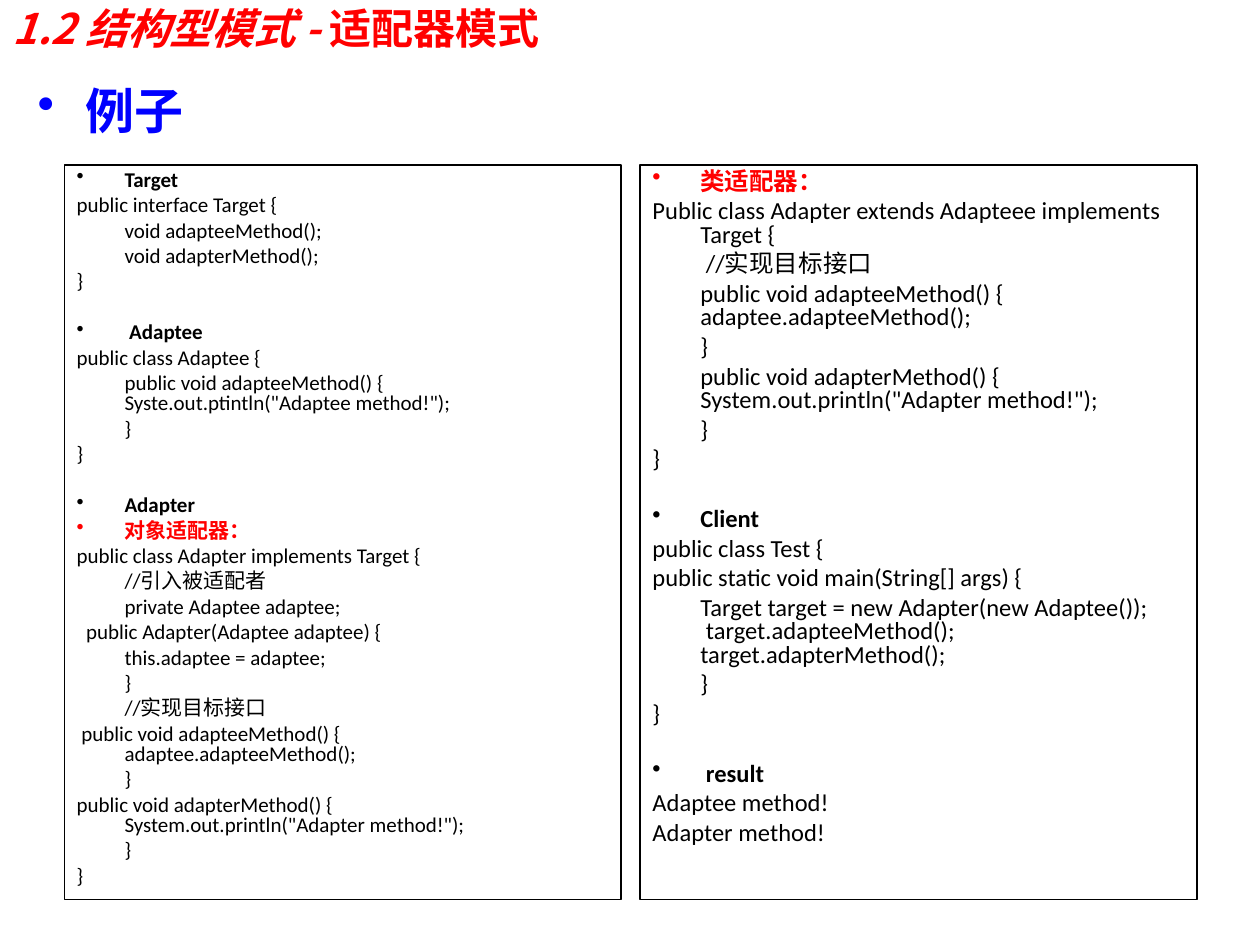
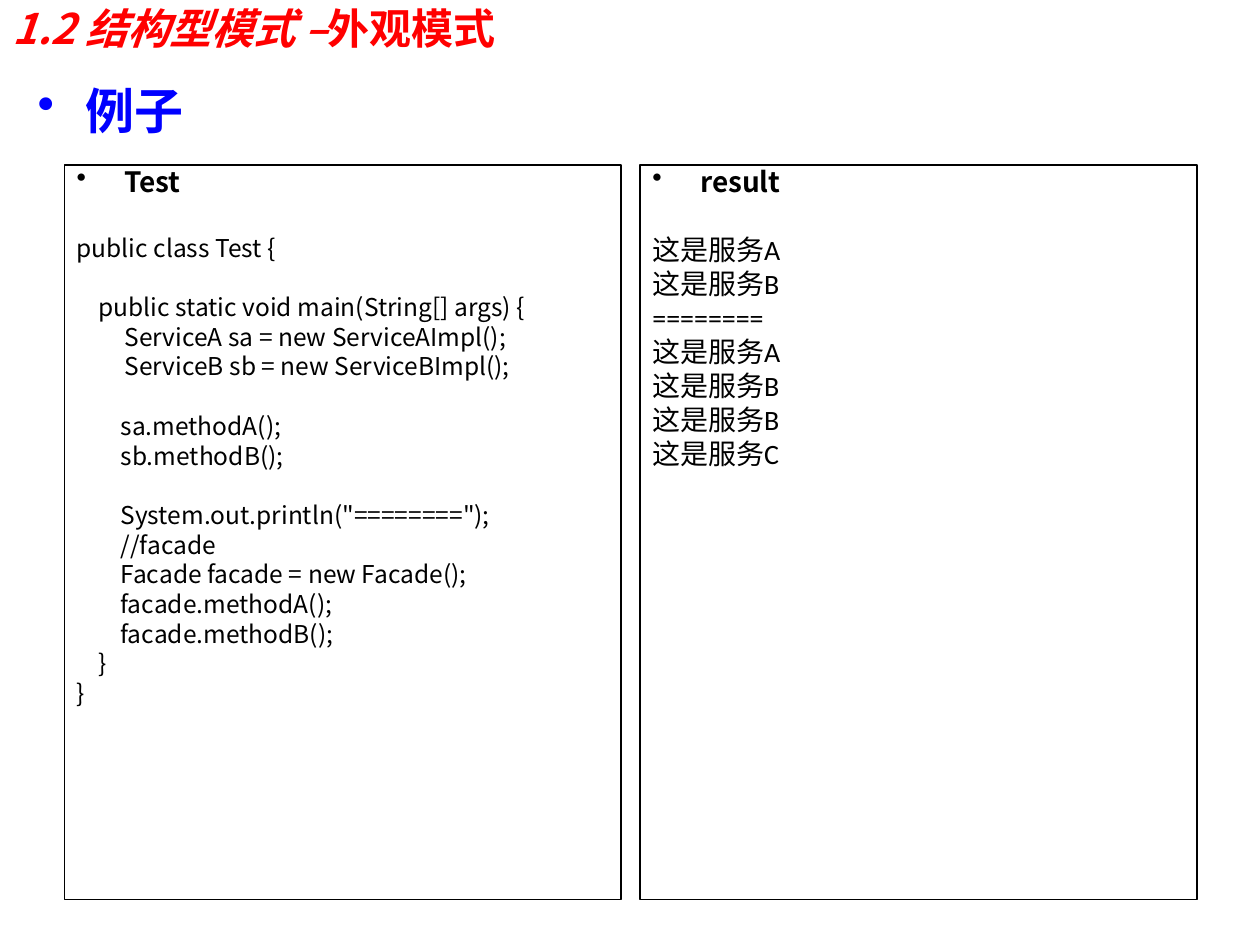
import copy

from lxml import etree
from pptx import Presentation
from pptx import util as u
from pptx.dml.color import RGBColor
from pptx.enum import text
from pptx.oxml.ns import qn

THEME = {
    "red": "FF0000", "blue": "0000FF", "black": "000000",
    "latin": "Calibri", "cjk": "Noto Sans CJK SC",
    "title_size": 24, "topic_size": 28,
    "hang": 0.38, "line_spacing": 0.8, "before": 0.25, "blank_line": 1.22,
}
PANEL_LEFTS = (0.51, 5.08)

# Code lines: "•" marks a heading, "!" a red heading, a tab an indented line,
# an empty string a gap, and "\v" a line break.
TARGET_AND_ADAPTERS = [
    "•Target",
    "public interface Target {",
    "\tvoid adapteeMethod();",
    "\tvoid adapterMethod();",
    "}",
    "",
    "• Adaptee",
    "public class Adaptee {",
    '\tpublic void adapteeMethod() {\vSyste.out.ptintln("Adaptee method!");',
    "\t}",
    "}",
    "",
    "•Adapter",
    "!对象适配器：",
    "public class Adapter implements Target {",
    "\t//引入被适配者",
    "\tprivate Adaptee adaptee;",
    "  public Adapter(Adaptee adaptee) {",
    "\tthis.adaptee = adaptee;",
    "\t}",
    "\t//实现目标接口",
    " public void adapteeMethod() {\vadaptee.adapteeMethod();",
    "\t}",
    'public void adapterMethod() {\vSystem.out.println("Adapter method!");',
    "\t}",
    "}",
]
CLASS_ADAPTER_AND_CLIENT = [
    "!类适配器：",
    "Public class Adapter extends Adapteee implements Target {",
    "\t //实现目标接口",
    "\tpublic void adapteeMethod() {\vadaptee.adapteeMethod();",
    "\t}",
    '\tpublic void adapterMethod() {\vSystem.out.println("Adapter method!");',
    "\t}",
    "}",
    "",
    "•Client",
    "public class Test {",
    "public static void main(String[] args) {",
    "\tTarget target = new Adapter(new Adaptee());"
    "\v target.adapteeMethod();\vtarget.adapterMethod();",
    "\t}",
    "}",
    "",
    "• result",
    "Adaptee method!",
    "Adapter method!",
]
FACADE_TEST = [
    "•Test",
    "",
    "public class Test {",
    "",
    "    public static void main(String[] args) {",
    "\tServiceA sa = new ServiceAImpl();",
    "\tServiceB sb = new ServiceBImpl();",
    "",
    "        sa.methodA();",
    "        sb.methodB();",
    "",
    '        System.out.println("========");',
    "        //facade",
    "        Facade facade = new Facade();",
    "        facade.methodA();",
    "        facade.methodB();",
    "    }",
    "}",
]
FACADE_RESULT = [
    "•result",
    "",
    "这是服务A",
    "这是服务B",
    "========",
    "这是服务A",
    "这是服务B",
    "这是服务B",
    "这是服务C",
]

# Each panel: lines, heading size, heading font, code size, code font
SLIDES = [
    (("1.2 结构型模式 - ", "适配器模式"), [
        (TARGET_AND_ADAPTERS, 12, THEME["latin"], 12, THEME["latin"]),
        (CLASS_ADAPTER_AND_CLIENT, 14, THEME["latin"], 14, THEME["latin"]),
    ]),
    (("1.2 结构型模式 –", "外观模式"), [
        (FACADE_TEST, 16, THEME["cjk"], 14, THEME["cjk"]),
        (FACADE_RESULT, 16, THEME["cjk"], 16, THEME["latin"]),
    ]),
]


def format_runs(paragraph, color, name, **font_values):
    """Format every run, and give line breaks the same character format."""
    for run in paragraph.runs:
        for key, value in {"name": name, **font_values}.items():
            setattr(run.font, key, value)
        run.font.color.rgb = RGBColor.from_string(color)
        properties = run._r.get_or_add_rPr()
        east_asian = etree.SubElement(properties, qn("a:ea"))
        east_asian.set("typeface", THEME["cjk"])
    for line_break in paragraph._p.findall(qn("a:br")):
        line_break.insert(0, copy.deepcopy(properties))


def set_hanging(paragraph, bullet_color=None, indented=False):
    """Set the hanging indent, and a bullet when a bullet colour is given."""
    properties = paragraph._p.get_or_add_pPr()
    properties.set("marL", str(u.Inches(THEME["hang"])))
    properties.set("indent", str(0 if indented else -u.Inches(THEME["hang"])))
    if bullet_color:
        bullet_fill = etree.SubElement(properties, qn("a:buClr"))
        etree.SubElement(bullet_fill, qn("a:srgbClr")).set("val", bullet_color)
        etree.SubElement(properties, qn("a:buChar")).set("char", "•")
    paragraph.line_spacing = THEME["line_spacing"]


presentation = Presentation()
presentation.slide_width = u.Inches(10)
presentation.slide_height = u.Inches(7.5)

for title_parts, panels in SLIDES:
    slide = presentation.slides.add_slide(presentation.slide_layouts[6])

    title = slide.shapes.add_textbox(0, 0, u.Inches(9), u.Inches(0.44))
    title.text_frame.word_wrap = True
    title.text_frame.vertical_anchor = text.MSO_ANCHOR.MIDDLE
    paragraph = title.text_frame.paragraphs[0]
    for part in title_parts:
        paragraph.add_run().text = part
    format_runs(paragraph, THEME["red"], THEME["cjk"],
                size=u.Pt(THEME["title_size"]), bold=True, italic=True)
    pattern_font = paragraph.runs[1].font
    pattern_font.name, pattern_font.italic = THEME["latin"], False

    topic = slide.shapes.add_textbox(
        u.Inches(0.2), u.Inches(0.68), u.Inches(3.54), u.Inches(1.04))
    topic.text_frame.word_wrap = True
    paragraph = topic.text_frame.paragraphs[0]
    paragraph.text = "例子"
    set_hanging(paragraph, THEME["blue"])
    format_runs(paragraph, THEME["blue"], THEME["latin"],
                size=u.Pt(THEME["topic_size"]), bold=True)

    for left, panel in zip(PANEL_LEFTS, panels):
        lines, heading_size, heading_font, code_size, code_font = panel
        box = slide.shapes.add_textbox(
            u.Inches(left), u.Inches(1.31), u.Inches(4.42), u.Inches(5.83))
        box.line.color.rgb = RGBColor.from_string(THEME["black"])
        box.line.width = u.Pt(0.75)
        frame = box.text_frame
        frame.word_wrap = True

        gap = 0
        size = heading_size
        for index, line in enumerate(lines):
            if not line:
                gap = size * THEME["blank_line"]
                continue
            is_heading = line[0] in "•!"
            is_indented = line[0] == "\t"
            color = THEME["red"] if line[0] == "!" else THEME["black"]
            size = heading_size if is_heading else code_size
            paragraph = frame.add_paragraph() if index else frame.paragraphs[0]
            paragraph.text = line[1:] if is_heading or is_indented else line
            set_hanging(paragraph, color if is_heading else None, is_indented)
            if index:
                paragraph.space_before = u.Pt(size * THEME["before"] + gap)
            format_runs(paragraph, color,
                        heading_font if is_heading else code_font,
                        size=u.Pt(size), bold=is_heading)
            gap = 0

presentation.save("out.pptx")
